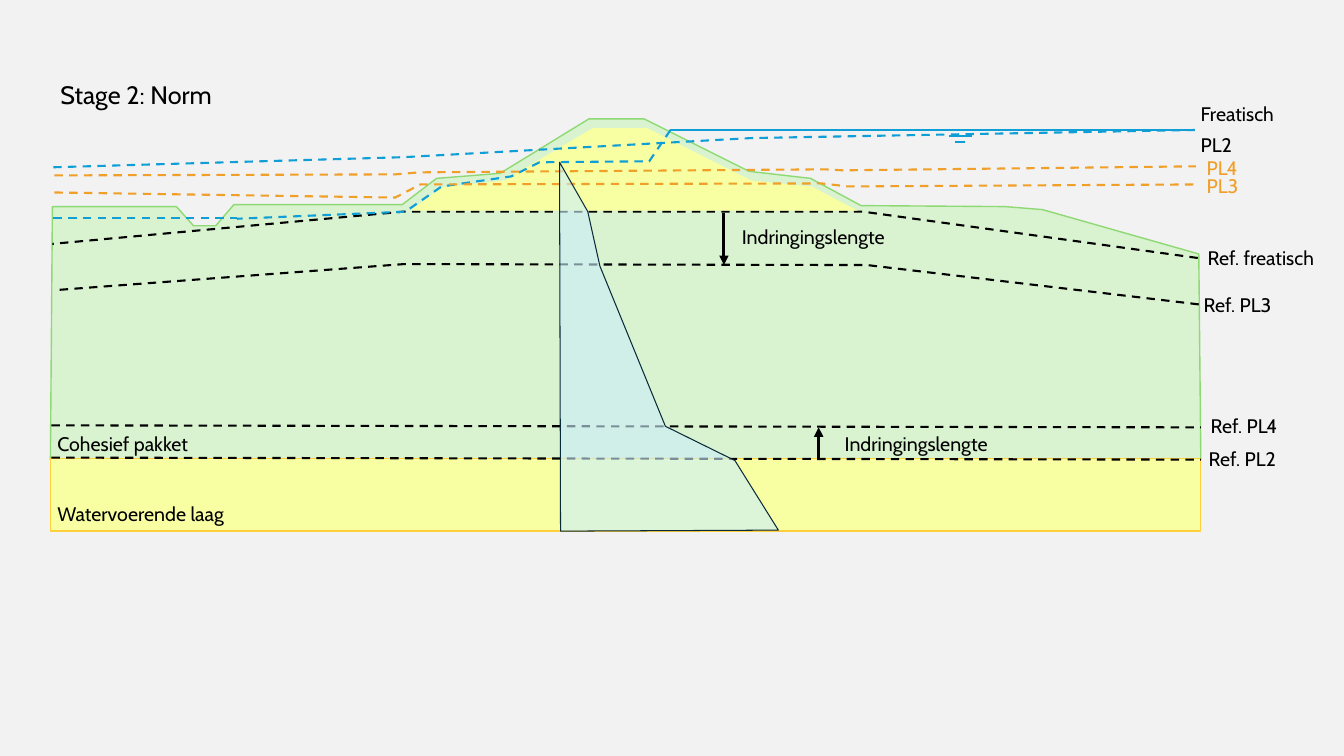
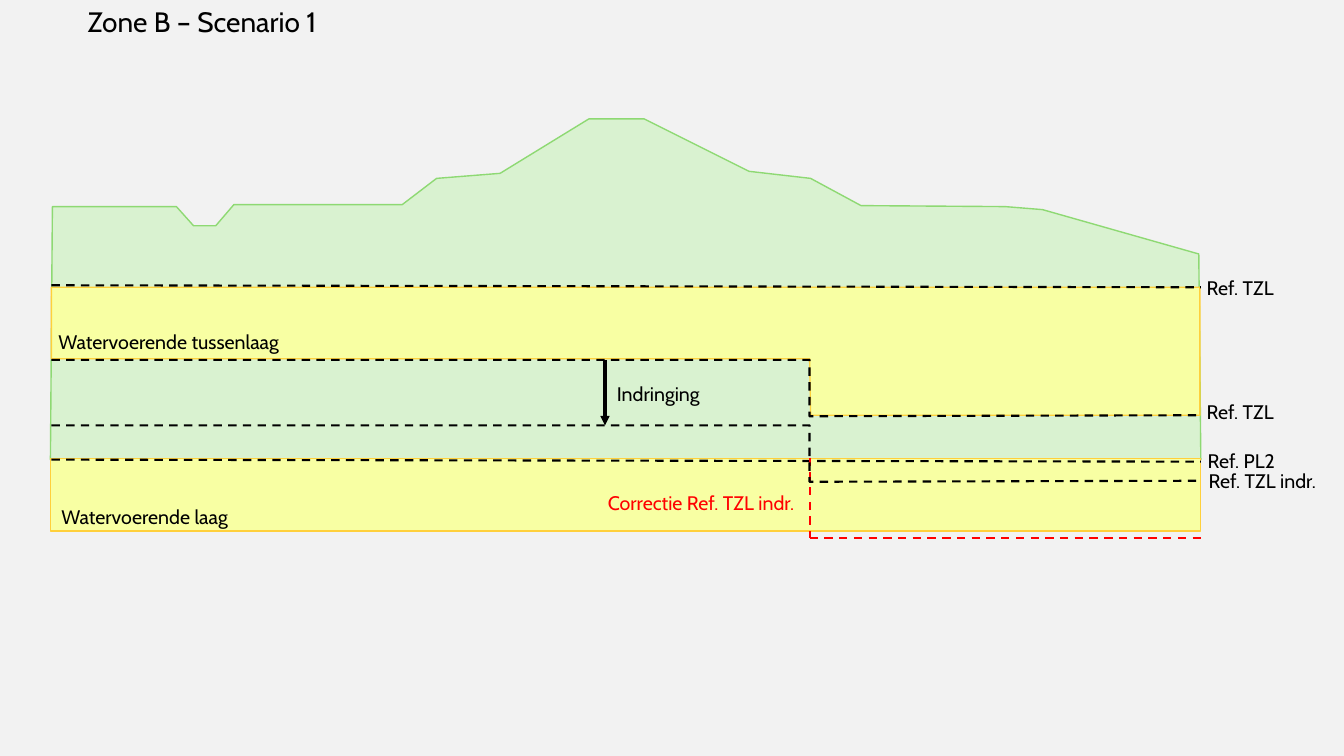
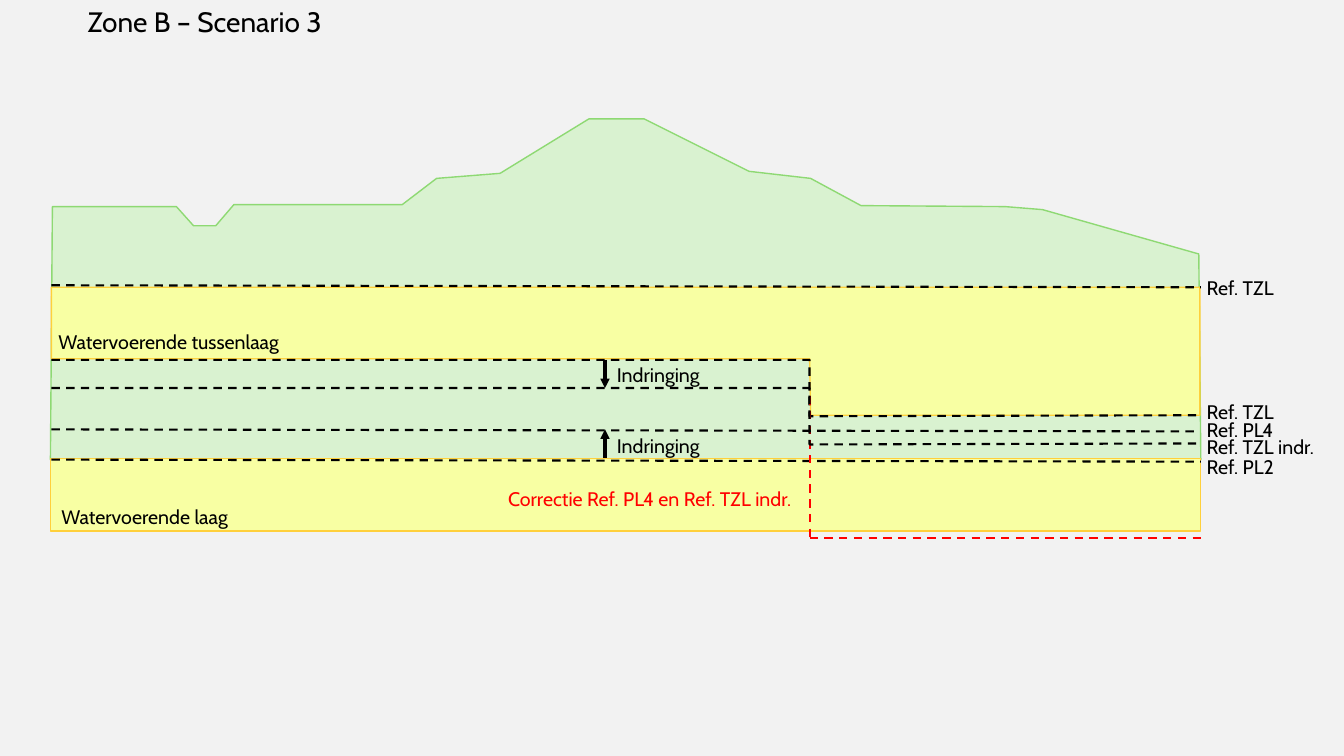
from dataclasses import dataclass

from lxml import etree
from pptx import Presentation
from pptx.dml.color import RGBColor
from pptx.enum.dml import MSO_LINE
from pptx.enum.shapes import MSO_CONNECTOR, MSO_SHAPE
from pptx.enum.text import MSO_AUTO_SIZE
from pptx.oxml.ns import qn
from pptx.util import Inches, Pt

DASH = MSO_LINE.DASH
STRAIGHT = MSO_CONNECTOR.STRAIGHT
RECTANGLE = MSO_SHAPE.RECTANGLE
FIT_TEXT = MSO_AUTO_SIZE.SHAPE_TO_FIT_TEXT


@dataclass(frozen=True)
class Theme:
    font: str = "Cabin"
    background: str = "F2F2F2"
    ink: str = "000000"
    clay: str = "D9F2D0"
    clay_edge: str = "8ED973"
    sand: str = "F8FFA3"
    sand_edge: str = "FFD03B"
    water: str = "0F9ED5"
    head: str = "F09F28"
    pressure: str = "CAEEFB"
    pressure_edge: str = "092A39"
    correction: str = "FF0000"
    label_size: int = 14
    stage_size: int = 18
    zone_size: int = 20
    edge: float = 1
    thin: float = 0.75
    level: float = 1.5
    arrow: float = 2.25


THEME = Theme()

LEFT, RIGHT = 0.51, 11.91
STEP_X = 8.03
ARROW_X = 6
CORRECTION_Y = 5.34

GROUND = [
    (0.5, 4.56), (11.91, 4.56), (11.89, 2.52), (10.34, 2.08), (9.97, 2.05),
    (8.54, 2.04), (8.04, 1.77), (7.43, 1.7), (6.39, 1.18), (5.84, 1.18),
    (4.96, 1.72), (4.33, 1.77), (3.99, 2.03), (2.32, 2.03), (2.14, 2.24),
    (1.92, 2.24), (1.75, 2.05), (0.52, 2.05),
]
DIKE_CORE = [
    (5.88, 1.27), (6.42, 1.27), (7.45, 1.79), (8.05, 1.85), (8.51, 2.09),
    (4.07, 2.09), (4.38, 1.86), (5, 1.79),
]
SAND_LAYER = [
    (LEFT, 2.85), (11.9, 2.85), (11.9, 4.12), (8.04, 4.12),
    (STEP_X, 3.56), (LEFT, 3.56),
]
PRESSURE = [
    (5.55, 1.61), (5.83, 2.1), (5.95, 2.64), (6.6, 4.23), (7.29, 4.57),
    (7.72, 5.26), (5.56, 5.27),
]
REF_PHREATIC = [(11.88, 2.56), (8.56, 2.1), (4, 2.1), (2.26, 2.26), (0.52, 2.42)]
REF_PL3 = [(11.89, 3.02), (8.6, 2.63), (4.01, 2.62), (0.53, 2.88)]
PHREATIC = [
    (6.65, 1.29), (6.44, 1.6), (5.35, 1.61), (5.07, 1.75), (4.38, 1.85),
    (4.02, 2.1), (2.35, 2.17),
]
PL2 = [(11.85, 1.29), (7.45, 1.37), (4, 1.56), (0.53, 1.66)]
PL3 = [(0.54, 1.91), (3.92, 1.96), (4.17, 1.83), (8.15, 1.82), (8.41, 1.85), (11.88, 1.83)]
PL4 = [(0.54, 1.74), (3.92, 1.73), (4.16, 1.71), (8.18, 1.68), (8.36, 1.69), (11.86, 1.65)]


class DikeDeck:
    def __init__(self, theme):
        self.theme = theme
        self.presentation = Presentation()
        self.presentation.slide_width = Inches(13.33)
        self.presentation.slide_height = Inches(7.5)
        self.slide = None
        fill = self.presentation.slide_master.background.fill
        fill.solid()
        fill.fore_color.rgb = RGBColor.from_string(theme.background)

    def new_slide(self):
        self.slide = self.presentation.slides.add_slide(self.presentation.slide_layouts[6])

    def stroke(self, shape, color, width, dash=None):
        shape.line.color.rgb = RGBColor.from_string(color)
        for name, value in {"width": Pt(width), "dash_style": dash}.items():
            setattr(shape.line, name, value)

    def paint(self, shape, fill, edge=None, width=None, alpha=None):
        shape.shadow.inherit = False
        shape.fill.solid()
        shape.fill.fore_color.rgb = RGBColor.from_string(fill)
        if alpha is not None:
            color = shape.element.spPr.find(qn("a:solidFill"))[0]
            etree.SubElement(color, qn("a:alpha"), val=str(alpha * 1000))
        if edge:
            self.stroke(shape, edge, width or self.theme.edge)
        else:
            shape.line.fill.background()

    def freeform(self, points, close):
        corners = [(Inches(x), Inches(y)) for x, y in points]
        builder = self.slide.shapes.build_freeform(*corners[0])
        builder.add_line_segments(corners[1:], close=close)
        return builder.convert_to_shape()

    def area(self, points, fill, edge=None, width=None, alpha=None):
        self.paint(self.freeform(points, True), fill, edge, width, alpha)

    def rectangle(self, left, top, width, height, fill, edge):
        box = [Inches(value) for value in (left, top, width, height)]
        self.paint(self.slide.shapes.add_shape(RECTANGLE, *box), fill, edge)

    def level(self, points, color=None):
        """Dashed level line through several points."""
        shape = self.freeform(points, False)
        shape.shadow.inherit = False
        shape.fill.background()
        self.stroke(shape, color or self.theme.ink, self.theme.level, DASH)

    def line(self, start, end, color=None, width=None, dash=None):
        ends = [Inches(value) for value in (*start, *end)]
        connector = self.slide.shapes.add_connector(STRAIGHT, *ends)
        self.stroke(connector, color or self.theme.ink, width or self.theme.level, dash)
        etree.SubElement(connector.element.spPr, qn("a:effectLst"))
        return connector

    def arrow(self, x, start, end):
        connector = self.line((x, start), (x, end), width=self.theme.arrow)
        outline = connector.element.spPr.find(qn("a:ln"))
        etree.SubElement(outline, qn("a:tailEnd"), type="triangle")

    def text(self, text, left, top, width=1.44, color=None, size=None, wrap=True):
        size = size or self.theme.label_size
        box = self.slide.shapes.add_textbox(
            Inches(left), Inches(top), Inches(width), Inches(0.1 + size / 60))
        frame = box.text_frame
        for name, value in {"word_wrap": wrap, "auto_size": FIT_TEXT}.items():
            setattr(frame, name, value)
        run = frame.paragraphs[0].add_run()
        run.text = text
        for name, value in {"name": self.theme.font, "size": Pt(size)}.items():
            setattr(run.font, name, value)
        run.font.color.rgb = RGBColor.from_string(color or self.theme.ink)


def draw_subsoil(deck, layer=None):
    theme = deck.theme
    deck.new_slide()
    deck.area(GROUND, theme.clay, theme.clay_edge)
    if layer:
        deck.area(layer, theme.sand, theme.sand_edge)
    deck.rectangle(0.5, 4.55, 11.41, 0.72, theme.sand, theme.sand_edge)


def draw_stage(deck):
    theme = deck.theme
    draw_subsoil(deck)
    for left_y, right_y in ((4.22, 4.24), (4.54, 4.56)):
        deck.line((LEFT, left_y), (RIGHT, right_y), dash=DASH)
    deck.level(REF_PHREATIC)
    deck.level(REF_PL3)
    deck.area(DIKE_CORE, theme.sand)

    for x, start, end in ((7.18, 2.11, 2.63), (8.12, 4.56, 4.24)):
        deck.arrow(x, start, end)
    for left, top in ((7.26, 2.18), (8.28, 4.24)):
        deck.text("Indringingslengte", left, top, 1.73)

    deck.level(PHREATIC, theme.water)
    for left, right, y in ((6.65, 11.85, 1.29), (9.41, 9.64, 1.35), (9.47, 9.57, 1.41)):
        deck.line((left, y), (right, y), theme.water)
    deck.line((0.53, 2.16), (2.35, 2.16), theme.water, dash=DASH)
    deck.level(PL2, theme.water)
    for points in (PL3, PL4):
        deck.level(points, theme.head)

    deck.area(PRESSURE, theme.pressure, theme.pressure_edge, theme.thin, alpha=60)

    deck.text("Stage 2: Norm", 0.5, 0.74, 1.74, size=theme.stage_size, wrap=False)
    for label, left, top in (
        ("Freatisch", 11.81, 0.96),
        ("PL2", 11.81, 1.27),
        ("Ref. freatisch", 11.88, 2.39),
        ("Ref. PL3", 11.84, 2.86),
        ("Ref. PL4", 11.91, 4.06),
        ("Ref. PL2", 11.89, 4.38),
    ):
        deck.text(label, left, top)
    for label, top in (("PL4", 1.5), ("PL3", 1.68)):
        deck.text(label, 11.87, top, color=theme.head)
    for label, top in (("Cohesief pakket", 4.24), ("Watervoerende laag", 4.93)):
        deck.text(label, 0.47, top, 1.91)


def draw_step(deck, top):
    """Level line that drops at the transition between the two sections."""
    deck.level([(LEFT, top), (STEP_X, top), (STEP_X, top + 0.56), (RIGHT, top + 0.55)])


def draw_zone(deck, title, step_top, correction_top, correction, penetrations, labels):
    """Zone B section; penetrations holds (arrow start, arrow end, label top)."""
    theme = deck.theme
    draw_subsoil(deck, SAND_LAYER)
    deck.text(title, 0.77, 0, 8.05, size=theme.zone_size)
    deck.text("Watervoerende tussenlaag", 0.48, 3.22, 2.57)
    deck.text("Watervoerende laag", 0.51, 4.96, 1.91)

    for left_y, right_y in ((2.83, 2.85), (4.56, 4.58)):
        deck.line((LEFT, left_y), (RIGHT, right_y), dash=DASH)
    draw_step(deck, 3.57)
    corner = (STEP_X, CORRECTION_Y)
    deck.line((STEP_X, correction_top), corner, theme.correction, dash=DASH)
    deck.line(corner, (RIGHT, CORRECTION_Y), theme.correction, dash=DASH)
    draw_step(deck, step_top)

    for start, end, label_top in penetrations:
        deck.arrow(ARROW_X, start, end)
        deck.text("Indringing", 6.02, label_top, 2.39)
    label, left, top = correction
    deck.text(label, left, top, 8.03 - left, theme.correction)
    for label, left, top in (("Ref. TZL", 11.87, 2.69), ("Ref. TZL", 11.87, 3.92), *labels):
        deck.text(label, left, top)


def main():
    deck = DikeDeck(THEME)
    draw_stage(deck)
    draw_zone(
        deck, "Zone B – Scenario 1", 4.22, 4.54,
        ("Correctie Ref. TZL indr.", 5.93, 4.82),
        [(3.57, 4.22, 3.74)],
        [("Ref. PL2", 11.88, 4.4), ("Ref. TZL indr.", 11.89, 4.6)],
    )
    draw_zone(
        deck, "Zone B – Scenario 3", 3.85, 3.93,
        ("Correctie Ref. PL4 en Ref. TZL indr.", 4.94, 4.78),
        [(3.57, 3.85, 3.55), (4.54, 4.26, 4.26)],
        [("Ref. PL4", 11.87, 4.1), ("Ref. TZL indr.", 11.87, 4.27), ("Ref. PL2", 11.87, 4.46)],
    )
    deck.line((LEFT, 4.26), (11.9, 4.28), dash=DASH)
    deck.presentation.save("out.pptx")


if __name__ == "__main__":
    main()
